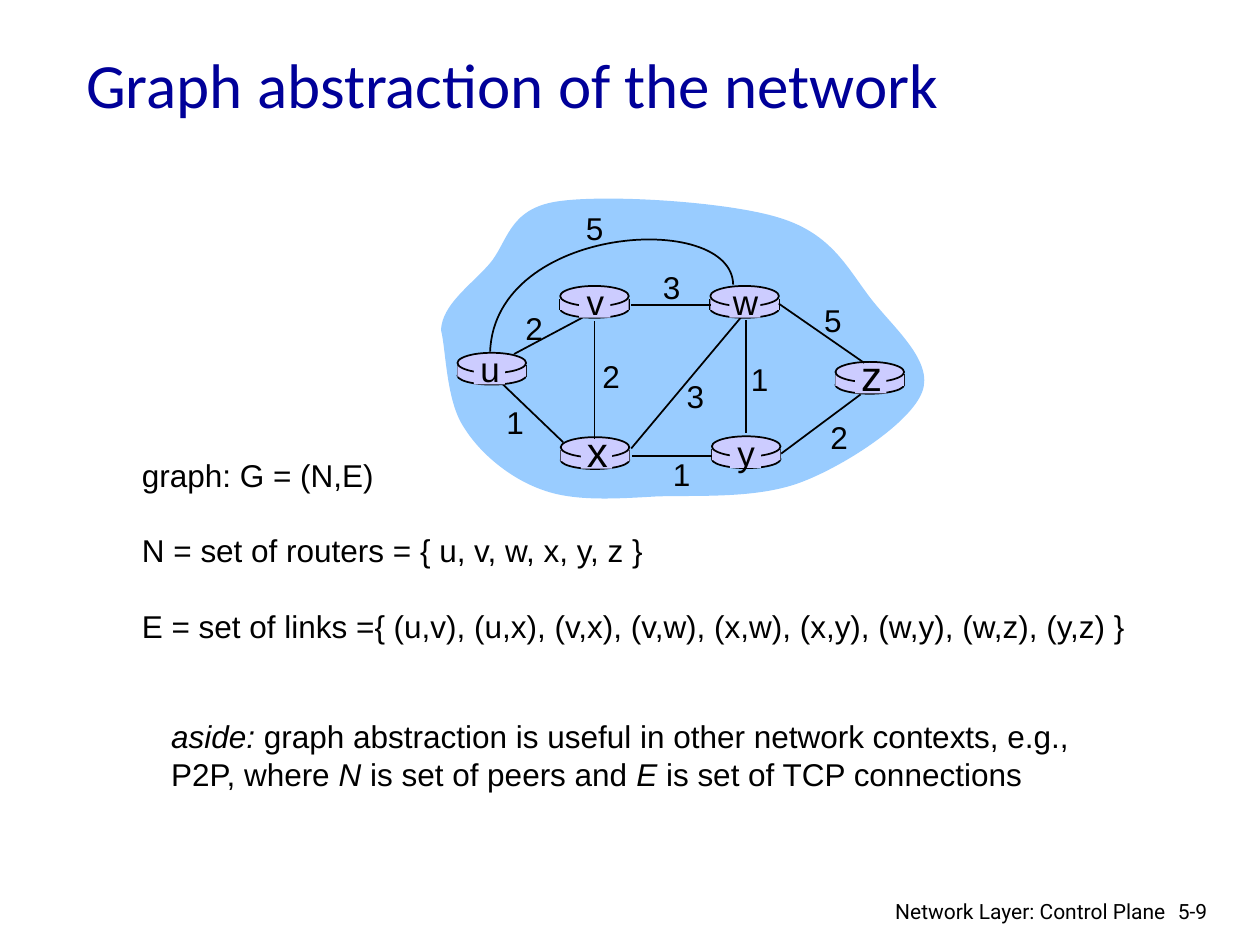
from lxml import etree
from pptx import Presentation
from pptx.dml.color import RGBColor
from pptx.enum.shapes import MSO_CONNECTOR, MSO_SHAPE
from pptx.enum.text import MSO_ANCHOR, MSO_AUTO_SIZE, PP_ALIGN
from pptx.oxml.ns import qn
from pptx.util import Pt

STRAIGHT = MSO_CONNECTOR.STRAIGHT
OVAL, RECTANGLE = MSO_SHAPE.OVAL, MSO_SHAPE.RECTANGLE
MIDDLE = MSO_ANCHOR.MIDDLE
FIXED = MSO_AUTO_SIZE.NONE
LEFT, CENTER, RIGHT = PP_ALIGN.LEFT, PP_ALIGN.CENTER, PP_ALIGN.RIGHT

BLACK, NAVY, SKY, LILAC = "000000", "000099", "99CCFF", "CCCCFF"
ROUTER_WIDTH = 39.2

CLOUD = [
    (252, 188.6),
    (252.7, 174.2), (268.6, 163.4), (279.4, 151.2),
    (290.2, 139), (290.2, 119.5), (318.2, 115.2),
    (345.6, 110.9), (416.2, 115.2), (445.7, 124.6),
    (475.9, 133.9), (484.6, 154.1), (498.2, 171.4),
    (511.2, 187.9), (533.5, 206.6), (527, 223.9),
    (520.6, 241.2), (484.6, 265), (459.4, 275),
    (434.2, 285.1), (401, 283), (375.8, 283.7),
    (351.4, 285.1), (328.3, 286.6), (310.3, 280.1),
    (291.6, 273.6), (274.3, 259.2), (265, 244.1),
    (254.9, 229), (254.9, 200.2), (252, 188.6),
]
LINK_U_W = [(419, 162.7), (418.3, 120.2), (283, 128.2), (280.1, 200.9)]
LINK_U_V = (293.8, 202.3, 337, 179.3)
LINKS = [
    (426.2, 182.9, 426.2, 247.7),
    (339.8, 183.6, 339.8, 250.6),
    (360.7, 256.3, 423.4, 181.4),
    (446.4, 259.2, 491.8, 225.4),
    (406.8, 260.6, 361.4, 260.6),
    (321.8, 252.7, 287.3, 219.6),
    (406.1, 174.2, 360.7, 174.2),
    (493.9, 207.4, 445, 173.5),
]
ROUTERS = [
    ("u", 261.4, 201.6, 280.1, 20), ("y", 406.8, 249.3, 426.4, 20),
    ("x", 320.4, 249.8, 341.3, 24), ("w", 405.9, 163.4, 426.1, 20),
    ("v", 320.1, 163.4, 340.3, 20), ("z", 477.4, 206.8, 498, 24),
]
COSTS = [
    ("2", 293, 172.8), ("2", 337, 200.2), ("1", 282.2, 226.8), ("3", 385.2, 211.7),
    ("1", 377.3, 256.3), ("1", 421.9, 202.3), ("2", 467.3, 235.4), ("5", 463.7, 168.5),
    ("3", 371.5, 149.8), ("5", 327.6, 115.9),
]


def color(hex_value):
    """Turn a hex string into a colour."""
    return RGBColor.from_string(hex_value)


def write(frame, paragraphs, size=18, font="Arial", fill=BLACK, align=LEFT,
          line=None, gap=0, wrap=False):
    """Fill a text frame with paragraphs made of (text, italic) spans."""
    frame.word_wrap = wrap
    frame.auto_size = FIXED
    for index, spans in enumerate(paragraphs):
        para = frame.add_paragraph() if index else frame.paragraphs[0]
        para.alignment = align
        if line:
            para.line_spacing = Pt(line)
        if index:
            para.space_before = Pt(gap)
        for text, italic in spans:
            span = para.add_run()
            span.text = text
            span.font.name, span.font.size = font, Pt(size)
            span.font.italic = italic
            span.font.color.rgb = color(fill)


def add_text(page, left, top, width, height, paragraphs, **style):
    """Place a text box and write in it."""
    box = page.shapes.add_textbox(Pt(left), Pt(top), Pt(width), Pt(height))
    write(box.text_frame, paragraphs, **style)


def paint(shape, fill=None, outline=None):
    """Give a shape its fill and outline and take away its shadow."""
    shape.shadow.inherit = False
    if fill:
        shape.fill.solid()
        shape.fill.fore_color.rgb = color(fill)
    else:
        shape.fill.background()
    if outline:
        shape.line.color.rgb = color(outline)
        shape.line.width = Pt(1)
    else:
        shape.line.fill.background()


def add_block(page, kind, left, top, width, height, outline=None):
    """Place a lilac preset shape."""
    shape = page.shapes.add_shape(kind, Pt(left), Pt(top), Pt(width), Pt(height))
    paint(shape, LILAC, outline)


def add_line(page, x1, y1, x2, y2):
    """Draw a thin black straight line."""
    line = page.shapes.add_connector(STRAIGHT, Pt(x1), Pt(y1), Pt(x2), Pt(y2))
    line.line.color.rgb = color(BLACK)
    line.line.width = Pt(1)
    etree.SubElement(line._element.spPr, qn("a:effectLst"))


def add_curve(page, controls, close=False, **look):
    """Draw a chain of cubic curves through its control points."""
    points = [(Pt(x), Pt(y)) for x, y in controls]
    builder = page.shapes.build_freeform(*points[0])
    builder.add_line_segments(points[1:], close=close)
    shape = builder.convert_to_shape()
    segments = list(shape._element.iter(qn("a:lnTo")))
    for start in range(0, len(controls) - 1, 3):
        curve = etree.Element(qn("a:cubicBezTo"))
        segments[start].addprevious(curve)
        for segment in segments[start:start + 3]:
            curve.append(segment[0])
            segment.getparent().remove(segment)
    paint(shape, **look)


def add_router(page, left, top):
    """Draw a router as a flat cylinder."""
    add_block(page, OVAL, left, top + 8, ROUTER_WIDTH, 10.2, BLACK)
    for side in (left, left + ROUTER_WIDTH):
        add_line(page, side, top + 7.2, side, top + 13.7)
    add_block(page, RECTANGLE, left, top + 7.2, ROUTER_WIDTH, 6.5)
    add_block(page, OVAL, left, top, ROUTER_WIDTH, 11.6, BLACK)


def add_router_name(page, name, top, middle, size):
    """Write a router's name on a patch in its middle."""
    add_block(page, RECTANGLE, middle - 9.3, top + 1.5, 17.8, 16.6)
    add_text(page, middle - 13, top + 13 - 0.975 * size, 26, 1.2 * size + 7.2,
             [[(name, False)]], size=size, align=CENTER, line=1.2 * size)


def add_network(page):
    """Draw the cloud with its routers, links and costs."""
    add_curve(page, CLOUD, close=True, fill=SKY)
    add_line(page, *LINK_U_V)
    for _, left, top, _, _ in ROUTERS:
        add_router(page, left, top)
    for link in LINKS:
        add_line(page, *link)
    add_curve(page, LINK_U_W, outline=BLACK)
    for name, _, top, middle, size in ROUTERS:
        add_router_name(page, name, top, middle, size)
    for cost, left, top in COSTS:
        add_text(page, left, top, 24.5, 28.8, [[(cost, False)]], align=CENTER, line=21.6)


def add_title(page, text):
    """Place and format the title."""
    title = page.shapes.title
    title.left, title.top, title.width, title.height = Pt(42.1), Pt(16.3), Pt(631.4), Pt(62.6)
    title.text_frame.vertical_anchor = MIDDLE
    write(title.text_frame, [[(text, False)]], size=36, font="Calibri", fill=NAVY, wrap=True)


def main():
    """Build the slide and save it."""
    deck = Presentation()
    deck.slide_width, deck.slide_height = Pt(720), Pt(540)
    page = deck.slides.add_slide(deck.slide_layouts[5])
    add_network(page)
    add_text(page, 74, 257, 582.5, 115.2, [
        [("graph: G = (N,E)", False)],
        [("N = set of routers = { u, v, w, x, y, z }", False)],
        [("E = set of links ={ (u,v), (u,x), (v,x), (v,w), (x,w), (x,y), (w,y), (w,z), (y,z) }",
          False)],
    ], line=21.6, gap=21.6)
    add_title(page, "Graph abstraction of the network")
    add_text(page, 90.7, 406.1, 532.8, 50.4, [
        [("aside:", True),
         (" graph abstraction is useful in other network contexts, e.g.,", False)],
        [("P2P, where ", False), ("N", True), (" is set of peers and ", False),
         ("E", True), (" is set of TCP connections", False)],
    ], line=21.6)
    footer = {"size": 12, "font": "Roboto", "wrap": True}
    add_text(page, 666, 509.8, 43.2, 21.6, [[("5-9", False)]], **footer)
    add_text(page, 501.8, 509.8, 171.4, 18.7, [[("Network Layer: Control Plane", False)]],
             align=RIGHT, **footer)
    deck.save("out.pptx")


if __name__ == "__main__":
    main()
